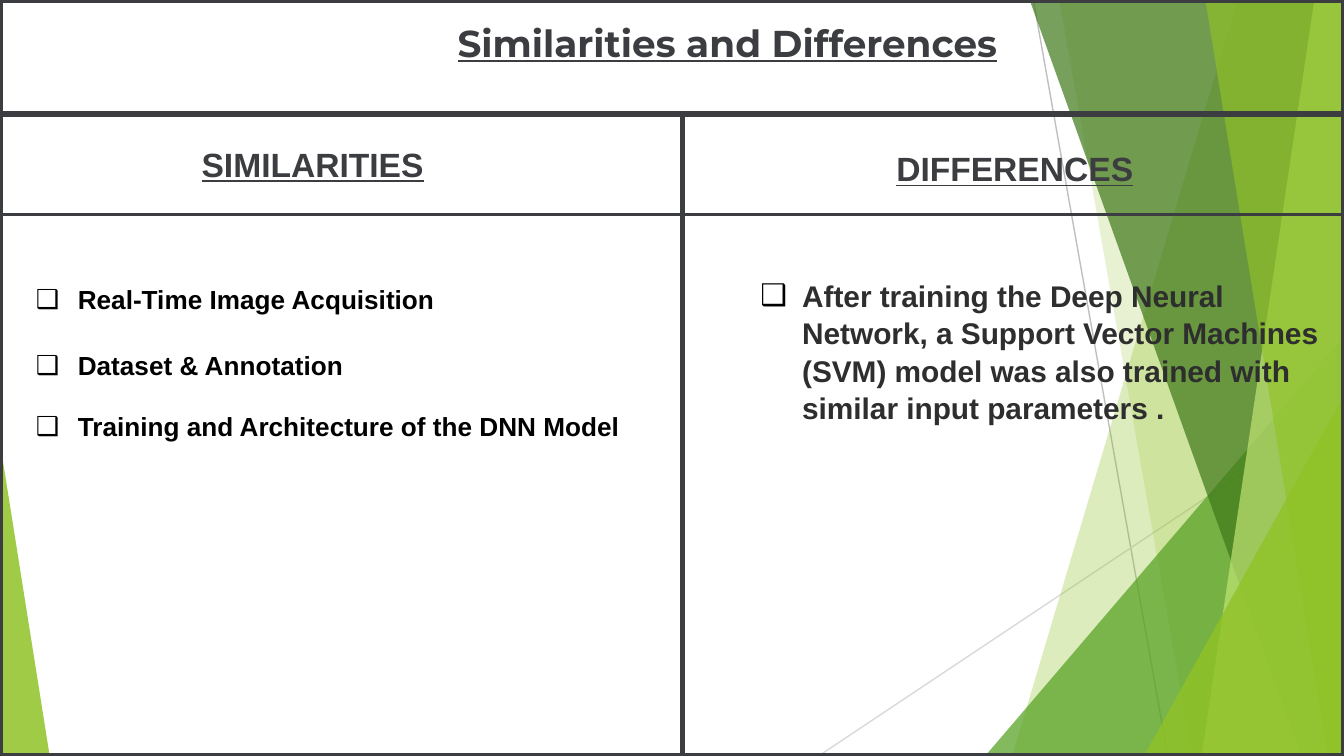
"""Build the similarities and differences comparison slide."""
from dataclasses import dataclass

from lxml import etree
from pptx import Presentation
from pptx import util as u
from pptx.dml import color as dml
from pptx.enum import shapes as kinds
from pptx.enum import text as t
from pptx.oxml import ns

WIDTH, HEIGHT = 25.4, 14.29
DARK, BLACK, GREEN = "3C3D40", "000000", "90C226"


@dataclass
class Line:
    start: tuple
    end: tuple
    color: str
    weight: float


@dataclass
class Band:
    top_x: float
    bottom_x: float
    color: str
    opacity: int


@dataclass
class Triangle:
    box: tuple
    apex: float
    color: str
    opacity: int


@dataclass
class Block:
    placeholder: int
    box: tuple
    items: tuple
    size: float
    color: str
    font: str = "Arial"
    align: t.PP_ALIGN = t.PP_ALIGN.LEFT
    underline: bool = False
    bullet: str = ""
    spacing: float = 1.0
    margins: tuple = (0.25, 0.13)


BACKDROP = (
    Line((19.53, 0), (22.07, HEIGHT), "BFBFBF", 0.75),
    Line((WIDTH, 7.67), (15.47, HEIGHT), "D9D9D9", 0.75),
    Band(23.39, 19.13, GREEN, 30),
    Band(20.02, 22.53, GREEN, 20),
    Triangle((18.62, 6.36, 6.78, 7.93), 1, "54A021", 72),
    Band(19.46, 24.59, "3F7819", 70),
    Band(24.84, 22.71, "C0E474", 70),
    Band(22.78, 25.1, GREEN, 65),
    Triangle((21.62, 7.48, 3.78, 6.81), 1, GREEN, 80),
    Triangle((0, 8.36, 0.94, 5.93), 0, GREEN, 85),
)
DIVIDERS = (
    Line((12.9, 2.16), (12.9, HEIGHT), DARK, 3),
    Line((0, 2.16), (WIDTH, 2.16), DARK, 3),
    Line((0, 4.06), (WIDTH, 4.06), DARK, 1.5),
)
BLOCKS = (
    Block(0, (3.07, 0.28, 21.36, 1.3), (("Similarities and Differences", 0),), 20, DARK,
          font="Montserrat", align=t.PP_ALIGN.CENTER, underline=True, margins=(0.18, 0.1)),
    Block(1, (3.56, 2.59, 6.3, 1.02), (("SIMILARITIES", 0),), 18, DARK, underline=True),
    Block(3, (13.54, 2.67, 11.28, 1.02), (("DIFFERENCES", 0),), 18, DARK,
          align=t.PP_ALIGN.CENTER, underline=True),
    Block(2, (0.43, 5.23, 11.66, 3.33),
          (("Real-Time Image Acquisition", 0),
           ("Dataset & Annotation", 18.4),
           ("Training and Architecture of the DNN Model", 16.1)), 14, BLACK, bullet="❑"),
    Block(4, (14.12, 5.08, 11.51, 3.76),
          (("After training the Deep Neural Network, a Support Vector Machines (SVM) "
            "model was also trained with similar input parameters .", 0),),
          16, "2E2E2E", bullet="❑", spacing=1.05),
)


def apply(target, values: dict) -> None:
    for name, value in values.items():
        setattr(target, name, value)


def paint(fill, color: str, opacity: int = 100) -> None:
    fill.solid()
    fill.fore_color.rgb = dml.RGBColor.from_string(color)
    if opacity < 100:
        solid = fill.fore_color._xFill.find(ns.qn("a:srgbClr"))
        etree.SubElement(solid, ns.qn("a:alpha"), val=str(opacity * 1000))


def draw_line(slide, line: Line) -> None:
    points = [u.Cm(value) for value in line.start + line.end]
    connector = slide.shapes.add_connector(kinds.MSO_CONNECTOR.STRAIGHT, *points)
    paint(connector.line.fill, line.color)
    connector.line.width = u.Pt(line.weight)
    etree.SubElement(connector.element.spPr, ns.qn("a:effectLst"))


def finish_facet(shape, facet) -> None:
    paint(shape.fill, facet.color, facet.opacity)
    shape.line.fill.background()
    shape.shadow.inherit = False


def draw_band(slide, band: Band) -> None:
    builder = slide.shapes.build_freeform(u.Cm(band.top_x), 0)
    corners = ((WIDTH, 0), (WIDTH, HEIGHT), (band.bottom_x, HEIGHT))
    builder.add_line_segments([(u.Cm(x), u.Cm(y)) for x, y in corners], close=True)
    finish_facet(builder.convert_to_shape(), band)


def draw_triangle(slide, triangle: Triangle) -> None:
    box = [u.Cm(value) for value in triangle.box]
    shape = slide.shapes.add_shape(kinds.MSO_SHAPE.ISOSCELES_TRIANGLE, *box)
    shape.adjustments[0] = triangle.apex
    finish_facet(shape, triangle)


def draw_frame(slide) -> None:
    frame = slide.shapes.add_shape(kinds.MSO_SHAPE.RECTANGLE, 0, 0, u.Cm(WIDTH), u.Cm(HEIGHT))
    frame.fill.background()
    paint(frame.line.fill, DARK)
    frame.line.width = u.Pt(3)
    frame.shadow.inherit = False


def add_bullet(paragraph, character: str) -> None:
    properties = paragraph._p.get_or_add_pPr()
    apply_indent = {"marL": u.Cm(0.79), "indent": -u.Cm(0.79)}
    for name, value in apply_indent.items():
        properties.set(name, str(int(value)))
    bullet_color = etree.SubElement(properties, ns.qn("a:buClr"))
    etree.SubElement(bullet_color, ns.qn("a:srgbClr"), val=BLACK)
    etree.SubElement(properties, ns.qn("a:buChar"), char=character)


def fill_block(slide, block: Block) -> None:
    shape = next(item for item in slide.placeholders
                 if item.placeholder_format.idx == block.placeholder)
    slide.shapes.element.append(shape.element)
    apply(shape, dict(zip(("left", "top", "width", "height"), map(u.Cm, block.box))))
    side, edge = map(u.Cm, block.margins)
    frame = shape.text_frame
    apply(frame, {"margin_left": side, "margin_right": side, "margin_top": edge,
                  "margin_bottom": edge, "word_wrap": True,
                  "auto_size": t.MSO_AUTO_SIZE.NONE, "vertical_anchor": t.MSO_ANCHOR.TOP})
    for index, (words, gap) in enumerate(block.items):
        paragraph = frame.add_paragraph() if index else frame.paragraphs[0]
        if block.bullet:
            add_bullet(paragraph, block.bullet)
        apply(paragraph, {"alignment": block.align, "space_before": u.Pt(gap),
                          "line_spacing": block.spacing})
        run = paragraph.add_run()
        run.text = words
        apply(run.font, {"name": block.font, "size": u.Pt(block.size), "bold": True,
                         "underline": block.underline})
        paint(run.font.fill, block.color)


def main() -> None:
    presentation = Presentation()
    apply(presentation, {"slide_width": u.Cm(WIDTH), "slide_height": u.Cm(HEIGHT)})
    slide = presentation.slides.add_slide(presentation.slide_layouts.get_by_name("Comparison"))
    draw = {Line: draw_line, Band: draw_band, Triangle: draw_triangle}
    for part in BACKDROP:
        draw[type(part)](slide, part)
    draw_frame(slide)
    for divider in DIVIDERS:
        draw_line(slide, divider)
    for block in BLOCKS:
        fill_block(slide, block)
    presentation.save("out.pptx")


if __name__ == "__main__":
    main()
